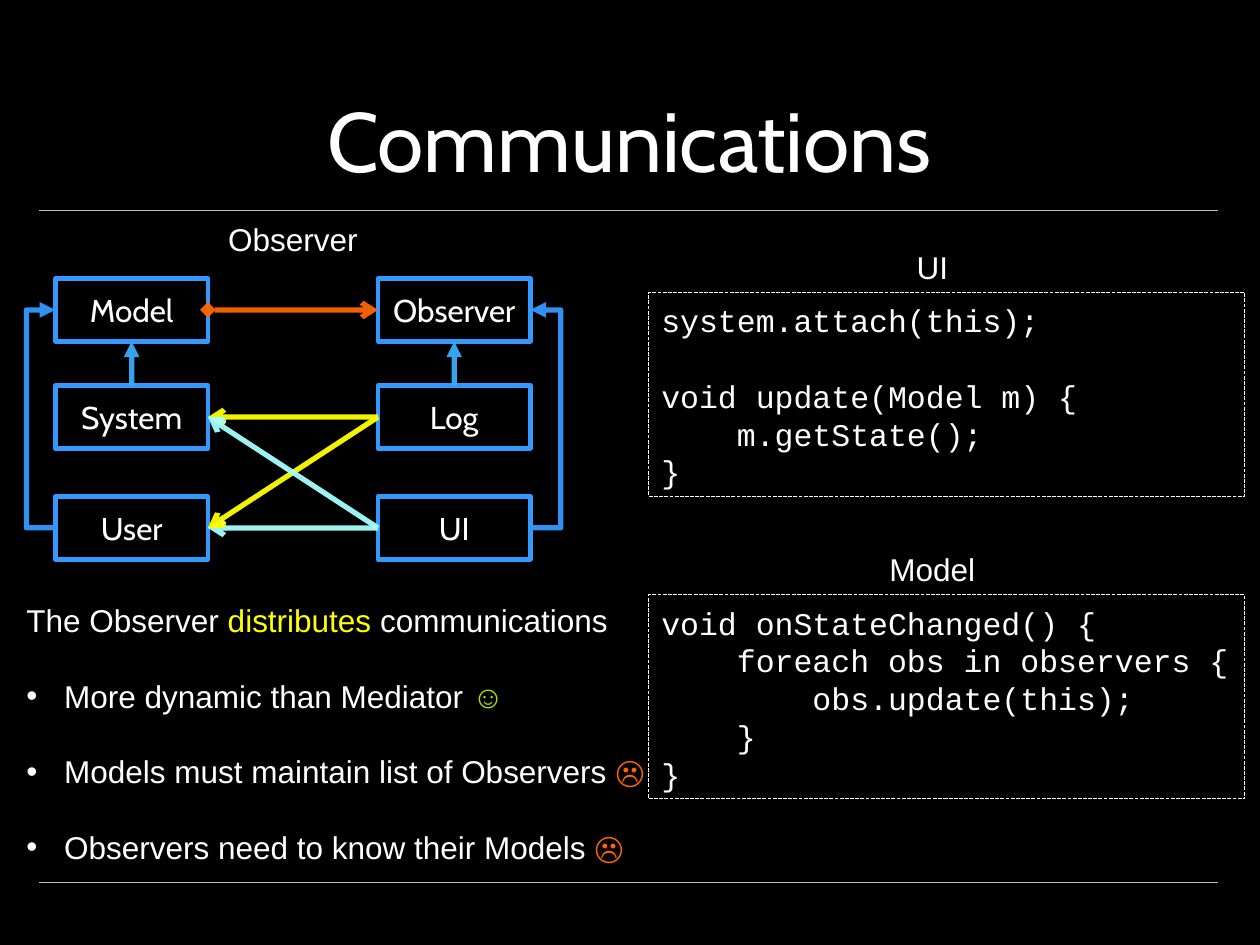
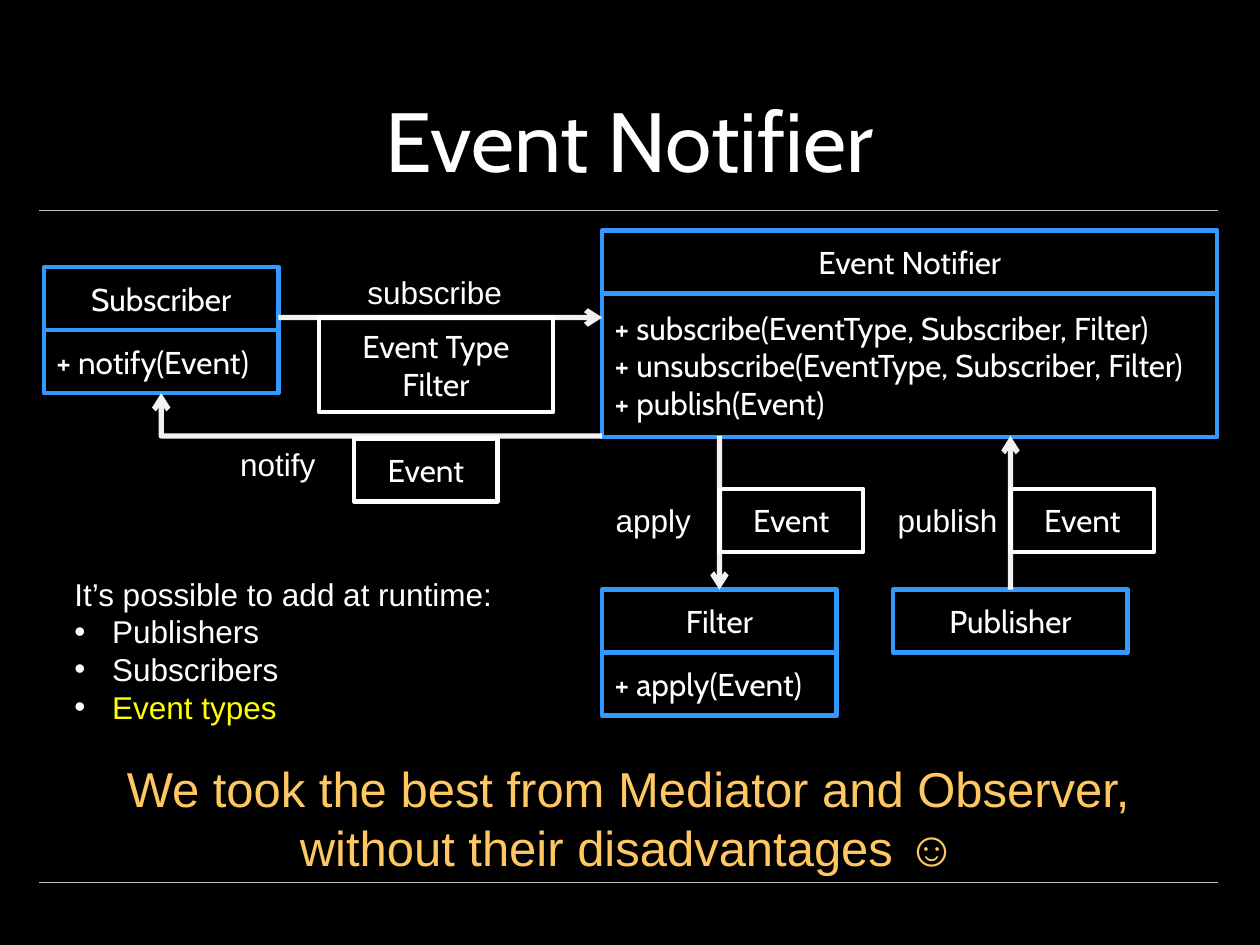
from dataclasses import dataclass

from lxml import etree
from pptx import Presentation
from pptx.dml.color import RGBColor
from pptx.enum import dml, shapes, text
from pptx.oxml import ns
from pptx.util import Inches, Pt


@dataclass(frozen=True)
class Theme:
    black: str = "000000"
    white: str = "FFFFFF"
    rule: str = "BFBFBF"
    blue: str = "3399FF"
    sky: str = "39ADF9"
    cyan: str = "A5FFFF"
    yellow: str = "FFFF00"
    orange: str = "FF6600"
    green: str = "ACE500"
    gold: str = "FFC762"
    heading_font: str = "Cabin"
    body_font: str = "Arial"
    code_font: str = "Courier New"
    title_size: int = 48
    closing_size: int = 28
    text_size: int = 18
    line_pitch: float = 1.2
    box_line: float = 2.5
    arrow_line: float = 3
    code_line: float = 0.75
    rule_line: float = 0.25


THEME = Theme()
LEFT, CENTER = text.PP_ALIGN.LEFT, text.PP_ALIGN.CENTER
ROW_HEIGHT = 0.5
CLASS_WIDTH = 1.86


def rgb(color):
    return RGBColor.from_string(color)


def add_element(parent, tag, **attributes):
    return etree.SubElement(parent, ns.qn(tag), attributes)


def write_text(frame, lines, font=THEME.body_font, size=THEME.text_size,
               color=THEME.white, align=LEFT, gaps=()):
    for index, runs in enumerate(lines):
        paragraph = frame.paragraphs[0] if index == 0 else frame.add_paragraph()
        paragraph.alignment = align
        paragraph.space_before = Pt(size * THEME.line_pitch if index in gaps else 0)
        if font != THEME.heading_font:
            paragraph.line_spacing = Pt(size * THEME.line_pitch)
        for words, run_color in [(runs, color)] if isinstance(runs, str) else runs:
            run = paragraph.add_run()
            run.text = words
            run.font.name = font
            run.font.size = Pt(size)
            run.font.color.rgb = rgb(run_color)


def place(shape, left, top, width, height):
    shape.left, shape.top = Inches(left), Inches(top)
    shape.width, shape.height = Inches(width), Inches(height)


def style_line(line, color, width):
    line.color.rgb = rgb(color)
    line.width = Pt(width)


def add_rectangle(slide, left, top, width, height, color, line_width):
    shape = slide.shapes.add_shape(
        shapes.MSO_SHAPE.RECTANGLE,
        Inches(left), Inches(top), Inches(width), Inches(height))
    shape.shadow.inherit = False
    shape.fill.background()
    style_line(shape.line, color, line_width)
    shape.text_frame.word_wrap = True
    return shape


def add_box(slide, lines, left, top, width, height=ROW_HEIGHT,
            color=THEME.blue, align=CENTER):
    shape = add_rectangle(slide, left, top, width, height, color, THEME.box_line)
    shape.text_frame.vertical_anchor = text.MSO_ANCHOR.MIDDLE
    write_text(shape.text_frame, lines, THEME.heading_font, align=align)


def add_class(slide, name, methods, left, top, width=CLASS_WIDTH,
              methods_height=ROW_HEIGHT):
    add_box(slide, [name], left, top, width)
    if methods:
        add_box(slide, methods, left, top + ROW_HEIGHT, width, methods_height,
                align=LEFT)


def add_text(slide, lines, left, top, width, height=0.4, **style):
    frame = slide.shapes.add_textbox(
        Inches(left), Inches(top), Inches(width), Inches(height)).text_frame
    frame.word_wrap = True
    frame.margin_left = frame.margin_right = 0
    write_text(frame, lines, align=CENTER, **style)


def add_code(slide, caption, lines, top, gaps=()):
    left, width, height = 5.15, 4.73, 1.62
    add_text(slide, [caption], 6.7, top - 0.4, 1.4)
    shape = add_rectangle(slide, left, top, width, height,
                          THEME.white, THEME.code_line)
    shape.line.dash_style = dml.MSO_LINE.SQUARE_DOT
    shape.text_frame.vertical_anchor = text.MSO_ANCHOR.TOP
    shape.text_frame.margin_top = Inches(0.07)
    write_text(shape.text_frame, lines, THEME.code_font, gaps=gaps)


def add_straight(slide, start, end, color, width):
    connector = slide.shapes.add_connector(
        shapes.MSO_CONNECTOR.STRAIGHT, *map(Inches, start + end))
    add_element(connector._element.spPr, "a:effectLst")
    style_line(connector.line, color, width)
    return connector


def finish_arrow(shape, tail, head=None):
    line = shape.line._get_or_add_ln()
    add_element(line.find(".//" + ns.qn("a:srgbClr")), "a:alpha", val="95000")
    if head:
        add_element(line, "a:headEnd", type=head)
    add_element(line, "a:tailEnd", type=tail)


def add_arrow(slide, start, end, color, tail="arrow", head=None):
    connector = add_straight(slide, start, end, color, THEME.arrow_line)
    finish_arrow(connector, tail, head)


def add_bent_arrow(slide, points, color, tail="arrow"):
    start, *corners = [(Inches(x), Inches(y)) for x, y in points]
    builder = slide.shapes.build_freeform(*start)
    builder.add_line_segments(corners, close=False)
    shape = builder.convert_to_shape()
    shape.shadow.inherit = False
    shape.fill.background()
    style_line(shape.line, color, THEME.arrow_line)
    finish_arrow(shape, tail)


def set_list(slide, lines, left, top, width, height, gaps=()):
    body = slide.placeholders[1]
    place(body, left, top, width, height)
    frame = body.text_frame
    frame.auto_size = text.MSO_AUTO_SIZE.NONE
    frame.vertical_anchor = text.MSO_ANCHOR.TOP
    frame.word_wrap = True
    frame.margin_right = 0
    write_text(frame, lines, gaps=gaps)
    indent = Inches(0.3)
    for index, paragraph in enumerate(frame.paragraphs):
        properties = paragraph._p.get_or_add_pPr()
        properties.set("marL", str(indent if index else 0))
        properties.set("indent", str(-indent if index else 0))
        if index:
            bullet_color = add_element(properties, "a:buClr")
            add_element(bullet_color, "a:srgbClr", val=THEME.white)
            add_element(properties, "a:buFont", typeface=THEME.body_font)
            add_element(properties, "a:buChar", char="•")
        else:
            add_element(properties, "a:buNone")


def add_slide(presentation, title):
    slide = presentation.slides.add_slide(presentation.slide_layouts[1])
    for y in (1.67, 7):
        add_straight(slide, (0.31, y), (9.67, y), THEME.rule, THEME.rule_line)
    place(slide.shapes.title, 0.7, 0.12, 8.59, 1.43)
    frame = slide.shapes.title.text_frame
    frame.auto_size = text.MSO_AUTO_SIZE.NONE
    frame.vertical_anchor = text.MSO_ANCHOR.BOTTOM
    write_text(frame, [title], THEME.heading_font, THEME.title_size, align=CENTER)
    return slide


def build_communications(presentation):
    slide = add_slide(presentation, "Communications")
    models, observers, box_width = 0.44, 3, 1.21
    tops = (2.21, 3.06, 3.94)
    first, second, third = [top + ROW_HEIGHT / 2 for top in tops]
    models_right, observers_right = models + box_width, observers + box_width

    add_text(slide, ["Observer"], 1.65, 1.7, 1.35)
    for left, names in ((models, ("Model", "System", "User")),
                        (observers, ("Observer", "Log", "UI"))):
        for name, top in zip(names, tops):
            add_box(slide, [name], left, top, box_width)
        middle = left + box_width / 2
        add_arrow(slide, (middle, tops[1]), (middle, tops[0] + ROW_HEIGHT),
                  THEME.sky, "triangle")
    for side, lane in ((models, 0.21), (observers_right, 4.45)):
        add_bent_arrow(slide, [(side, third), (lane, third),
                               (lane, first), (side, first)],
                       THEME.blue, "triangle")
    add_arrow(slide, (models_right, first), (observers, first),
              THEME.orange, head="diamond")
    for source, target, color in ((second, second, THEME.yellow),
                                  (third, third, THEME.cyan),
                                  (second, third, THEME.yellow),
                                  (third, second, THEME.cyan)):
        add_arrow(slide, (observers, source), (models_right, target), color)

    add_code(slide, "UI", ["system.attach(this);", "void update(Model m) {",
                           "    m.getState();", "}"], 2.32, gaps=(1,))
    add_code(slide, "Model", ["void onStateChanged() {",
                              "    foreach obs in observers {",
                              "        obs.update(this);", "    }", "}"], 4.72)
    set_list(slide, [
        [("The Observer ", THEME.white), ("distributes ", THEME.yellow),
         ("communications", THEME.white)],
        [("More dynamic than Mediator ", THEME.white), ("☺", THEME.green)],
        [("Models must maintain list of Observers ", THEME.white),
         ("☹", THEME.orange)],
        [("Observers need to know their Models ", THEME.white),
         ("☹", THEME.orange)],
    ], 0.11, 4.72, 5.14, 2.22, gaps=(1, 2, 3))


def build_event_notifier(presentation):
    slide = add_slide(presentation, "Event Notifier")
    notifier, notifier_bottom = 4.78, 3.46
    event_width = 1.14

    add_class(slide, "Event Notifier", [
        "+ subscribe(EventType, Subscriber, Filter)",
        "+ unsubscribe(EventType, Subscriber, Filter)",
        "+ publish(Event)"], notifier, 1.83, 4.88, 1.14)
    add_class(slide, "Subscriber", ["+ notify(Event)"], 0.35, 2.12)
    add_class(slide, "Filter", ["+ apply(Event)"], notifier, 4.68)
    add_class(slide, "Publisher", [], 7.09, 4.68)

    add_arrow(slide, (2.21, 2.52), (notifier, 2.52), THEME.white)
    add_box(slide, ["Event Type", "Filter"], 2.53, 2.52, CLASS_WIDTH, 0.75,
            THEME.white)
    add_bent_arrow(slide, [(notifier, notifier_bottom), (1.28, notifier_bottom),
                           (1.28, 3.12)], THEME.white)
    add_arrow(slide, (5.71, notifier_bottom), (5.71, 4.68), THEME.white)
    add_arrow(slide, (8.02, 4.68), (8.02, notifier_bottom), THEME.white)
    for left, top in ((2.81, 3.48), (5.71, 3.88), (8.02, 3.88)):
        add_box(slide, ["Event"], left, top, event_width, color=THEME.white)
    for label, left, top, width in (("subscribe", 2.81, 2.12, 1.28),
                                    ("notify", 1.8, 3.48, 0.81),
                                    ("apply", 4.78, 3.93, 0.81),
                                    ("publish", 7.02, 3.93, 1)):
        add_text(slide, [label], left, top, width)

    set_list(slide, ["It’s possible to add at runtime:", "Publishers",
                     "Subscribers", [("Event types", THEME.yellow)]],
             0.49, 4.51, 3.75, 1.31)
    add_text(slide, ["We took the best from Mediator and Observer,",
                     "without their disadvantages ☺"],
             0.31, 5.97, 9.35, 1.04, size=THEME.closing_size, color=THEME.gold)


def main():
    presentation = Presentation()
    presentation.slide_width, presentation.slide_height = Inches(10), Inches(7.5)
    background = presentation.slide_master.background.fill
    background.solid()
    background.fore_color.rgb = rgb(THEME.black)
    build_communications(presentation)
    build_event_notifier(presentation)
    presentation.save("out.pptx")


if __name__ == "__main__":
    main()
